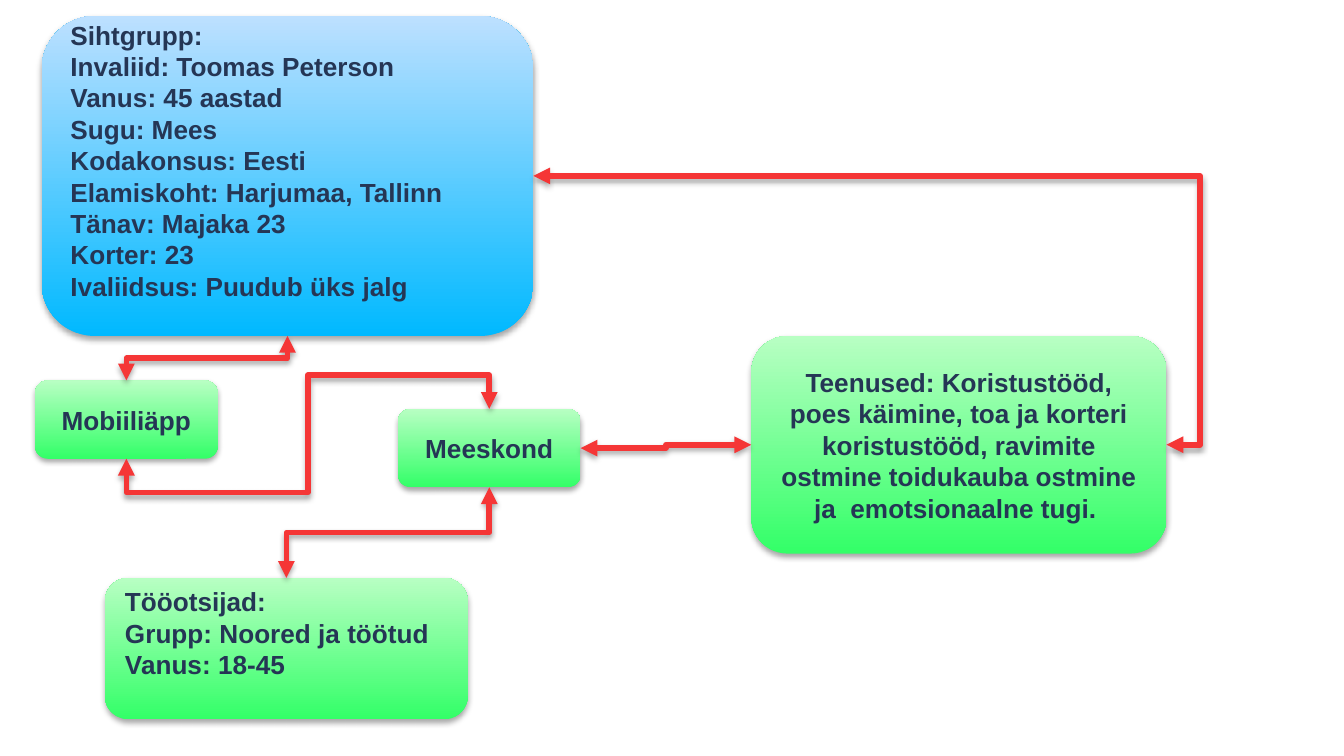
from lxml import etree
from pptx import Presentation
from pptx.dml.color import RGBColor
from pptx.enum import shapes, text
from pptx.oxml import ns
from pptx.util import Pt

COLORS = {
    "text": "253655",
    "arrow": "F53636",
    "shadow": "000000",
    "blue": ("00B9FF", "BDE0FF"),
    "green": ("33FF68", "B8FFC3"),
}
FONT = "Arial"
FONT_SIZE = 14
INSET = 3.6
LINE_HEIGHT = 16.9


def rgb(value):
    return RGBColor.from_string(value)


def add_xml(parent, tag, **attributes):
    return etree.SubElement(parent, ns.qn(tag), {k: str(v) for k, v in attributes.items()})


def add_shadow(s):
    """Soft shadow straight below; call after fill and line are set."""
    effects = add_xml(s._element.spPr, "a:effectLst")
    outer = add_xml(effects, "a:outerShdw", blurRad=Pt(3.1), dist=Pt(1.8),
                    dir=5400000, rotWithShape=0)
    color = add_xml(outer, "a:srgbClr", val=COLORS["shadow"])
    add_xml(color, "a:alpha", val=35000)


def add_box(slide, left, top, width, height, content, color="green", listing=False):
    """Rounded gradient box; a listing is left-aligned with a free line below."""
    s = slide.shapes.add_shape(shapes.MSO_SHAPE.ROUNDED_RECTANGLE,
                               Pt(left), Pt(top), Pt(width), Pt(height))
    s.fill.gradient()
    s.fill.gradient_angle = 90
    for stop, value in zip(s.fill.gradient_stops, COLORS[color]):
        stop.color.rgb = rgb(value)
    s.line.fill.background()
    add_shadow(s)

    tf = s.text_frame
    tf.word_wrap = True
    tf.vertical_anchor = text.MSO_ANCHOR.MIDDLE
    tf.margin_top = Pt(INSET)
    tf.margin_bottom = Pt(INSET + LINE_HEIGHT * listing)
    tf.text = content
    for p in tf.paragraphs:
        p.alignment = text.PP_ALIGN.LEFT if listing else text.PP_ALIGN.CENTER
        for r in p.runs:
            r.font.name = FONT
            r.font.size = Pt(FONT_SIZE)
            r.font.bold = True
            r.font.color.rgb = rgb(COLORS["text"])
    return s


def side(s, name):
    """Middle point of one side of a box."""
    x, y = s.left + s.width // 2, s.top + s.height // 2
    return {"left": (s.left, y), "right": (s.left + s.width, y),
            "top": (x, s.top), "bottom": (x, s.top + s.height)}[name]


def add_arrow(slide, start, end, bends=(50,), vertical=False):
    """Two-headed elbow arrow; bends are percentages of its main extent."""
    (x1, y1), (x2, y2) = start, end
    if vertical:
        # Lay the elbow out horizontally about its centre, then turn it by 90°
        cx, cy = (x1 + x2) // 2, (y1 + y2) // 2
        dx, dy = (y2 - y1) // 2, (x1 - x2) // 2
        x1, y1, x2, y2 = cx - dx, cy - dy, cx + dx, cy + dy
    s = slide.shapes.add_connector(shapes.MSO_CONNECTOR.ELBOW, x1, y1, x2, y2)
    sp_pr = s._element.spPr
    if vertical:
        sp_pr.find(ns.qn("a:xfrm")).set("rot", "5400000")

    geometry = sp_pr.find(ns.qn("a:prstGeom"))
    geometry.set("prst", f"bentConnector{len(bends) + 2}")
    guides = geometry.find(ns.qn("a:avLst"))
    if guides is None:
        guides = add_xml(geometry, "a:avLst")
    for number, bend in enumerate(bends, 1):
        add_xml(guides, "a:gd", name=f"adj{number}", fmla=f"val {round(bend * 1000)}")

    s.line.color.rgb = rgb(COLORS["arrow"])
    s.line.width = Pt(3)
    ln = s.line._get_or_add_ln()
    for tag in ("a:headEnd", "a:tailEnd"):
        add_xml(ln, tag, type="triangle")
    add_shadow(s)


def main():
    prs = Presentation()
    prs.slide_width, prs.slide_height = Pt(720), Pt(405)
    slide = prs.slides.add_slide(prs.slide_layouts[6])

    # Boxes
    target = add_box(slide, 22.3, 8.6, 263.5, 171.4, "\n".join([
        "Sihtgrupp:",
        "Invaliid: Toomas Peterson",
        "Vanus: 45 aastad",
        "Sugu: Mees",
        "Kodakonsus: Eesti",
        "Elamiskoht: Harjumaa, Tallinn",
        "Tänav: Majaka 23",
        "Korter: 23",
        "Ivaliidsus: Puudub üks jalg",
    ]), color="blue", listing=True)
    app = add_box(slide, 18.7, 203.8, 98, 42, "Mobiiliäpp")
    team = add_box(slide, 213.1, 219.1, 98, 42, "Meeskond")
    seekers = add_box(slide, 56.2, 309.6, 194.4, 75.8,
                      "Tööotsijad:\nGrupp: Noored ja töötud\nVanus: 18-45", listing=True)
    services = add_box(slide, 402.5, 180, 222.5, 116.6,
                       "Teenused: Koristustööd, poes käimine, toa ja korteri "
                       "koristustööd, ravimite ostmine toidukauba ostmine "
                       "ja  emotsionaalne tugi. ")

    # Arrows between the boxes
    add_arrow(slide, side(services, "right"), side(target, "right"), bends=(-5.3,))
    add_arrow(slide, side(team, "top"), side(app, "bottom"),
              bends=(-67.6, 50, 167.6), vertical=True)
    add_arrow(slide, side(services, "left"), side(team, "right"))
    add_arrow(slide, side(seekers, "top"), side(team, "bottom"), vertical=True)
    add_arrow(slide, side(app, "top"), side(target, "bottom"), vertical=True)

    prs.save("out.pptx")


if __name__ == "__main__":
    main()
